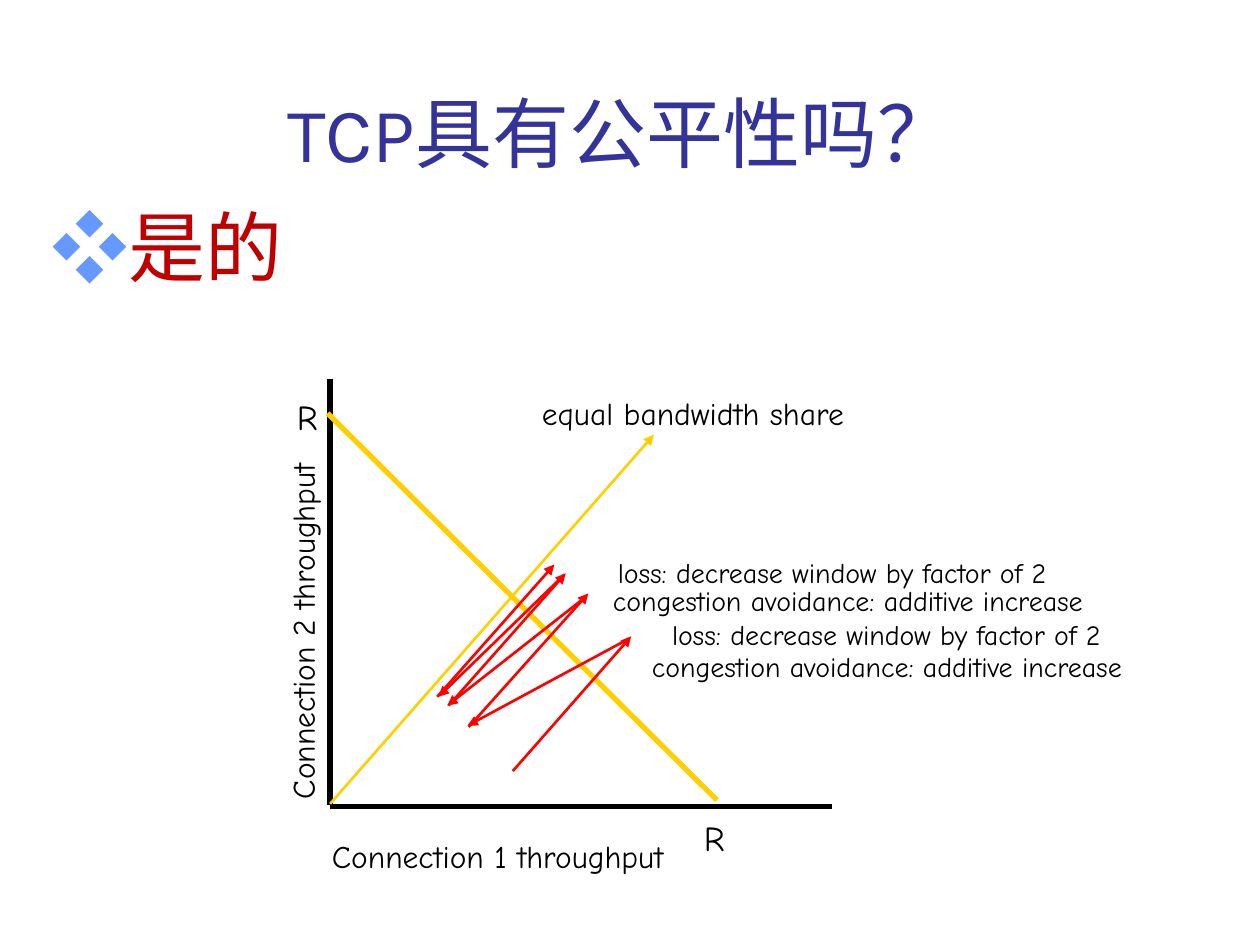
"""Build the slide on TCP fairness between two connections."""
from pptx import Presentation, util as u
from pptx.dml.color import RGBColor
from pptx.enum import shapes, text
from pptx.oxml.ns import qn
from lxml import etree

COLORS = {"title": "333399", "bullet": "6699FF", "answer": "C00000",
          "ink": "000000", "share": "FFCF01", "window": "FF0000"}
LABEL_FONT = "Comic Neue"
LOSS = "loss: decrease window by factor of 2"
AVOIDANCE = "congestion avoidance: additive increase"


def add_run(paragraph, words, size, font, color):
    """Append one formatted run to a paragraph."""
    run = paragraph.add_run()
    run.text = words
    run.font.size = u.Pt(size)
    run.font.name = font
    run.font.color.rgb = RGBColor.from_string(COLORS[color])


def add_text_box(slide, left, top, width, height, wrap=True):
    """Add an empty text box and return it with its first paragraph."""
    box = slide.shapes.add_textbox(*map(u.Inches, (left, top, width, height)))
    box.text_frame.word_wrap = wrap
    return box, box.text_frame.paragraphs[0]


def add_label(slide, words, left, top, width, height, size, rotation=0, wrap=True):
    """Add a centred label to the graph."""
    box, paragraph = add_text_box(slide, left, top, width, height, wrap)
    box.rotation = rotation
    box.text_frame.auto_size = text.MSO_AUTO_SIZE.SHAPE_TO_FIT_TEXT
    paragraph.alignment = text.PP_ALIGN.CENTER
    add_run(paragraph, words, size, LABEL_FONT, "ink")


def add_line(slide, start, end, color, width, arrow=False):
    """Draw a straight line, with an arrowhead at its end if asked."""
    line = slide.shapes.add_connector(
        shapes.MSO_CONNECTOR.STRAIGHT, *map(u.Inches, (*start, *end)))
    line.line.color.rgb = RGBColor.from_string(COLORS[color])
    line.line.width = u.Pt(width)
    if arrow:
        etree.SubElement(line.line._get_or_add_ln(), qn("a:tailEnd"), type="triangle")
    etree.SubElement(line._element.spPr, qn("a:effectLst"))


def add_heading(slide):
    """Add the question and its answer."""
    box, question = add_text_box(slide, 0.67, 0.21, 8.52, 1.25)
    box.text_frame.vertical_anchor = text.MSO_ANCHOR.BOTTOM
    question.alignment = text.PP_ALIGN.CENTER
    add_run(question, "TCP具有公平性吗？", 44, "Karla", "title")

    _, answer = add_text_box(slide, 0.31, 1.85, 2.7, 0.58)
    answer.line_spacing = u.Pt(30)
    add_run(answer, "❖", 44, "Arial", "bullet")
    add_run(answer, "是的", 44, "Times New Roman", "answer")


def add_axes(slide):
    """Draw the axes, the capacity line and the equal share line."""
    add_line(slide, (2.62, 6.4), (6.6, 6.4), "ink", 3)
    add_line(slide, (2.62, 6.39), (2.62, 3.01), "ink", 3)
    add_line(slide, (2.62, 6.38), (5.19, 3.45), "share", 1.5, arrow=True)
    add_line(slide, (2.6, 3.28), (5.69, 6.35), "share", 3)
    for left, top in ((2.22, 3.09), (5.45, 6.43)):
        add_label(slide, "R", left, top, 0.44, 0.43, 20)
    for words, left, top, rotation in (
            ("equal bandwidth share", 3.56, 3.08, 0),
            ("Connection 1 throughput", 2.01, 6.59, 0),
            ("Connection 2 throughput", 0.46, 4.81, 270)):
        add_label(slide, words, left, top, 3.88, 0.4, 18, rotation)


def add_window_path(slide):
    """Draw the increases and decreases of the window with their labels."""
    moves = (((4.07, 6.12), (5.01, 5.05)), ((4.99, 5.07), (3.71, 5.76)),
             ((3.72, 5.77), (4.67, 4.71)), ((4.62, 4.76), (3.55, 5.6)),
             ((3.56, 5.6), (4.49, 4.55)), ((4.48, 4.56), (3.48, 5.53)),
             ((3.47, 5.53), (4.4, 4.48)))
    for start, end in moves:
        add_line(slide, start, end, "window", 1.5, arrow=True)
    for left, top in ((4.56, 5.11), (4.25, 4.58)):
        add_label(slide, AVOIDANCE, left, top, 4.96, 0.37, 16)
    for left, top in ((5.03, 4.85), (4.6, 4.36)):
        add_label(slide, LOSS, left, top, 4.01, 0.37, 16, wrap=False)


def main():
    """Create the presentation and save it."""
    deck = Presentation()
    deck.slide_width, deck.slide_height = u.Inches(10), u.Inches(7.5)
    slide = deck.slides.add_slide(deck.slide_layouts[6])
    add_heading(slide)
    add_axes(slide)
    add_window_path(slide)
    deck.save("out.pptx")


if __name__ == "__main__":
    main()
